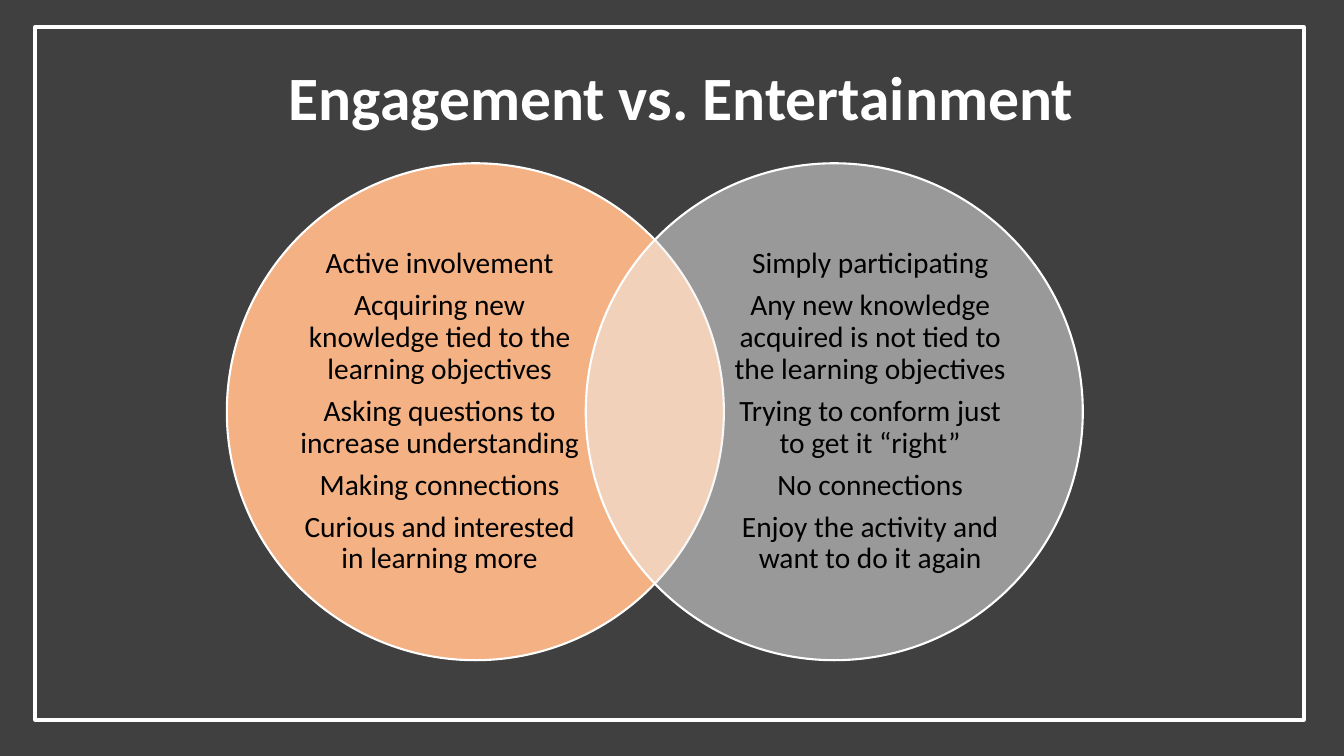
from dataclasses import dataclass

from lxml.etree import SubElement
from pptx import Presentation
from pptx.dml.color import RGBColor
from pptx.enum.shapes import MSO_SHAPE
from pptx.enum.text import MSO_ANCHOR, PP_ALIGN
from pptx.oxml.ns import qn
from pptx.util import Inches, Pt


@dataclass(frozen=True)
class Theme:
    font: str = "Calibri"
    background: str = "404040"
    light: str = "FFFFFF"
    text: str = "000000"
    engagement: str = "F4B183"
    entertainment: str = "F2F2F2"
    title_size: float = 44
    body_size: float = 21
    ring_width: float = 1.5
    frame_width: float = 3
    line_spacing: float = 0.9
    space_after: float = 0.35


THEME = Theme()
SLIDE_W, SLIDE_H = 13.33, 7.5

ENGAGEMENT = [
    "Active involvement",
    "Acquiring new knowledge tied to the learning objectives",
    "Asking questions to increase understanding",
    "Making connections",
    "Curious and interested in learning more",
]
ENTERTAINMENT = [
    "Simply participating",
    "Any new knowledge acquired is not tied to the learning objectives",
    "Trying to conform just to get it “right”",
    "No connections",
    "Enjoy the activity and want to do it again",
]


def rgb(value):
    return RGBColor.from_string(value)


def set_all(target, values):
    for name, value in values.items():
        setattr(target, name, value)


def add_outlined(s, kind, box, width, fill=None, opacity=100):
    """Place a white-edged shape; opacity is a percentage."""
    sp = s.shapes.add_shape(kind, *map(Inches, box))
    sp.shadow.inherit = False
    sp.line.color.rgb = rgb(THEME.light)
    sp.line.width = Pt(width)
    if fill is None:
        sp.fill.background()
        return
    sp.fill.solid()
    sp.fill.fore_color.rgb = rgb(fill)
    if opacity < 100:
        color = sp.fill._xPr.find(qn("a:solidFill"))[0]
        SubElement(color, qn("a:alpha"), val=str(opacity * 1000))


def add_text(s, box, lines, size, color, bold=False, space_after=0):
    tf = s.shapes.add_textbox(*map(Inches, box)).text_frame
    set_all(tf, dict(word_wrap=True, vertical_anchor=MSO_ANCHOR.MIDDLE,
                     margin_left=0, margin_right=0, margin_top=0, margin_bottom=0))
    for i, line in enumerate(lines):
        p = tf.add_paragraph() if i else tf.paragraphs[0]
        set_all(p, dict(alignment=PP_ALIGN.CENTER, line_spacing=THEME.line_spacing,
                        space_after=Pt(space_after)))
        r = p.add_run()
        r.text = line
        set_all(r.font, dict(name=THEME.font, size=Pt(size), bold=bold))
        r.font.color.rgb = rgb(color)


def add_venn(s, box):
    """Two circles as tall as the box, one at each end of it."""
    left, top, width, d = box
    text_w, text_h = 0.576 * d, 0.765 * d
    text_top = top + (d - text_h) / 2
    inset = 0.14 * d  # from the outer edge of each circle to its text
    right = left + width
    sides = [
        (left, left + inset, THEME.engagement, 100, ENGAGEMENT),
        (right - d, right - inset - text_w, THEME.entertainment, 50, ENTERTAINMENT),
    ]
    for circle_x, text_x, fill, opacity, lines in sides:
        add_outlined(s, MSO_SHAPE.OVAL, (circle_x, top, d, d),
                     THEME.ring_width, fill, opacity)
        add_text(s, (text_x, text_top, text_w, text_h), lines, THEME.body_size,
                 THEME.text, space_after=THEME.space_after * THEME.body_size)


def add_comparison_slide(prs):
    s = prs.slides.add_slide(prs.slide_layouts[6])
    s.background.fill.solid()
    s.background.fill.fore_color.rgb = rgb(THEME.background)
    add_text(s, (1.01, 0.27, 11.5, 1.45), ["Engagement vs. Entertainment"],
             THEME.title_size, THEME.light, bold=True)
    add_venn(s, (2.25, 1.62, 8.49, 4.93))
    add_outlined(s, MSO_SHAPE.RECTANGLE, (0.35, 0.27, 12.58, 6.87), THEME.frame_width)


def main():
    prs = Presentation()
    set_all(prs, dict(slide_width=Inches(SLIDE_W), slide_height=Inches(SLIDE_H)))
    add_comparison_slide(prs)
    prs.save("out.pptx")


if __name__ == "__main__":
    main()
